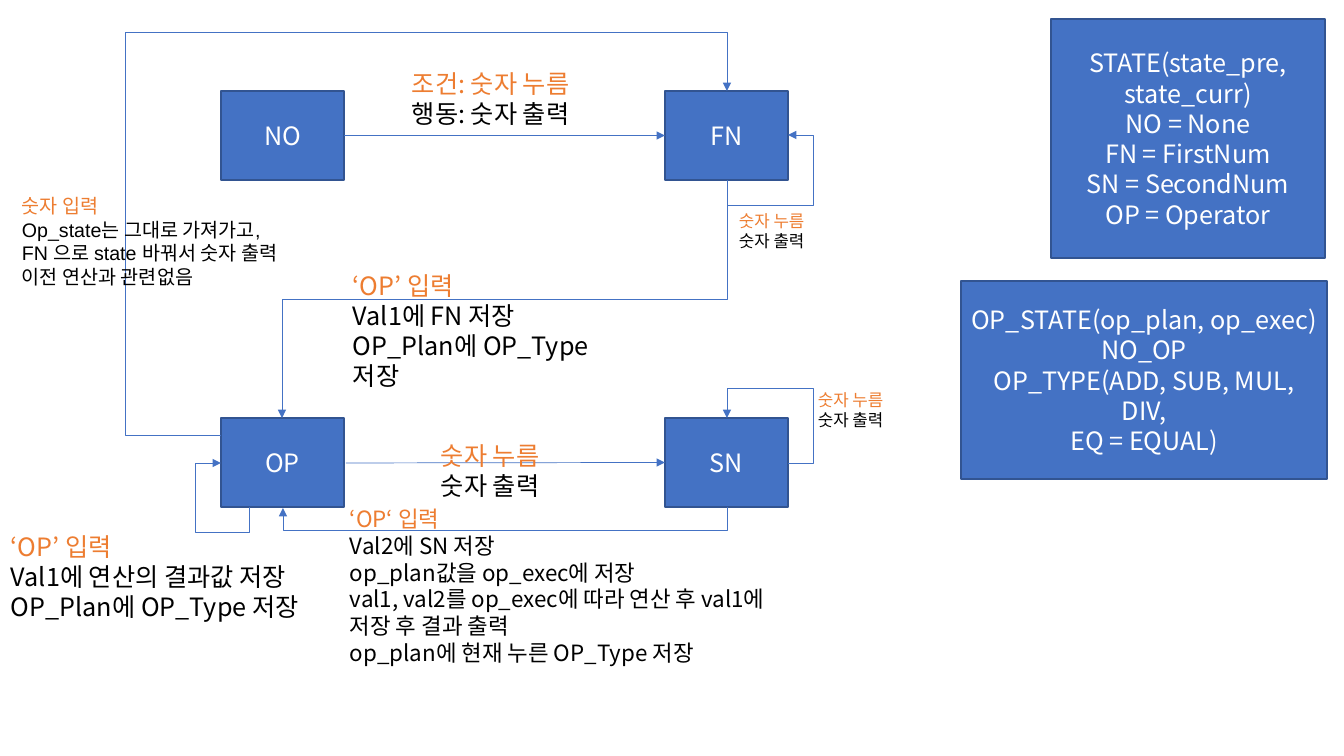
from lxml import etree
from pptx import Presentation
from pptx.dml.color import RGBColor
from pptx.enum.shapes import MSO_CONNECTOR, MSO_SHAPE
from pptx.enum.text import MSO_ANCHOR, MSO_AUTO_SIZE, PP_ALIGN
from pptx.oxml.ns import qn
from pptx.util import Emu, Pt

RECTANGLE = MSO_SHAPE.RECTANGLE
STRAIGHT, ELBOW = MSO_CONNECTOR.STRAIGHT, MSO_CONNECTOR.ELBOW
MIDDLE, TOP = MSO_ANCHOR.MIDDLE, MSO_ANCHOR.TOP
CENTER, LEFT = PP_ALIGN.CENTER, PP_ALIGN.LEFT
FIT_SHAPE = MSO_AUTO_SIZE.SHAPE_TO_FIT_TEXT

SLIDE_SIZE = (1344, 756)
EMU_PER_PX = 12192000 / 1344
KOREAN_FONT = "Noto Sans CJK KR"
BLUE, DARK_BLUE, ORANGE = "4472C4", "325491", "ED7D31"
WHITE, BLACK = "FFFFFF", "000000"
LEFT_SIDE, RIGHT_SIDE = 1, 3

STATE_SIZE = (123, 89)
STATES = {"NO": (221, 91), "FN": (665, 91), "OP": (221, 418), "SN": (665, 418)}

LEGENDS = [
    ((1051, 19, 274, 239), ["STATE(state_pre, state_curr)", "NO = None",
                            "FN = FirstNum", "SN = SecondNum", "OP = Operator"]),
    ((961, 281, 366, 198), ["OP_STATE(op_plan, op_exec)", "NO_OP",
                            "OP_TYPE(ADD, SUB, MUL, DIV,", "EQ = EQUAL)"]),
]

PRESS_DIGIT = ["숫자 누름", "숫자 출력"]
NOTES = [
    ((402, 63, 196, 71), 18, KOREAN_FONT, ["조건: 숫자 누름", "행동: 숫자 출력"]),
    ((431, 435, 137, 71), 18, KOREAN_FONT, PRESS_DIGIT),
    ((343, 265, 304, 102), 18, KOREAN_FONT,
     ["‘OP’ 입력", "Val1에 FN 저장", "OP_Plan에 OP_Type 저장"]),
    ((340, 500, 455, 173), 16, KOREAN_FONT,
     ["‘OP‘ 입력", "Val2에 SN 저장", "op_plan값을 op_exec에 저장",
      "val1, val2를 op_exec에 따라 연산 후 val1에 저장 후 결과 출력",
      "op_plan에 현재 누른 OP_Type 저장"]),
    ((729, 206, 97, 50), 12, KOREAN_FONT, PRESS_DIGIT),
    ((808, 385, 97, 50), 12, KOREAN_FONT, PRESS_DIGIT),
    ((1, 526, 337, 102), 18, KOREAN_FONT,
     ["‘OP’ 입력", "Val1에 연산의 결과값 저장", "OP_Plan에 OP_Type 저장"]),
    ((12, 189, 304, 105), 14, "Arial",
     ["숫자 입력", "Op_state는 그대로 가져가고,",
      "FN 으로 state 바꿔서 숫자 출력\v이전 연산과 관련없음"]),
]

# (start, end, leaves vertically, coordinates of the bends)
ELBOWS = [
    ((727, 180), (282, 418), True, [299]),
    ((727, 507), (283, 508), True, [531]),
    ((788, 463), (727, 418), False, [813, 388]),
    ((727, 180), (788, 135), True, [205, 813]),
    ((249, 507), (221, 463), True, [532, 195]),
    ((221, 435), (727, 91), False, [126, 33]),
]


def px(length):
    """Turn a length in pixels into EMU."""
    return Emu(round(length * EMU_PER_PX))


def color(value):
    """Turn a hex string into a colour."""
    return RGBColor.from_string(value)


def apply(target, values):
    """Set attributes of an object from a dict."""
    for name, value in values.items():
        setattr(target, name, value)


def write_lines(shape, lines, size, font_name, colors, frame_format, alignment):
    """Fill a shape with paragraphs; the first has its own colour."""
    frame = shape.text_frame
    apply(frame, {"word_wrap": True, **frame_format})
    for index, line in enumerate(lines):
        paragraph = frame.add_paragraph() if index else frame.paragraphs[0]
        paragraph.text = line
        paragraph.alignment = alignment
        for run in paragraph.runs:
            apply(run.font, {"size": Pt(size), "name": font_name})
            run.font.color.rgb = color(colors[min(index, 1)])
            properties = run.font._element
            etree.SubElement(properties, qn("a:ea")).set("typeface", KOREAN_FONT)


def add_box(slide, box, lines):
    """Draw a blue rectangle with centred white text."""
    shape = slide.shapes.add_shape(RECTANGLE, *map(px, box))
    shape.shadow.inherit = False
    shape.fill.solid()
    shape.fill.fore_color.rgb = color(BLUE)
    shape.line.color.rgb = color(DARK_BLUE)
    shape.line.width = Pt(1)
    write_lines(shape, lines, 18, KOREAN_FONT, (WHITE, WHITE),
                {"vertical_anchor": MIDDLE}, CENTER)
    return shape


def add_note(slide, box, size, font_name, lines):
    """Draw a transition note with an orange condition and black actions."""
    shape = slide.shapes.add_textbox(*map(px, box))
    write_lines(shape, lines, size, font_name, (ORANGE, BLACK),
                {"vertical_anchor": TOP, "auto_size": FIT_SHAPE}, LEFT)


def add_arrow(slide, kind, start, end):
    """Draw a thin blue connector with an arrowhead at its end."""
    arrow = slide.shapes.add_connector(kind, *map(px, (*start, *end)))
    arrow.line.color.rgb = color(BLUE)
    arrow.line.width = Pt(0.5)
    etree.SubElement(arrow.line._get_or_add_ln(), qn("a:tailEnd")).set("type", "triangle")
    etree.SubElement(arrow._element.spPr, qn("a:effectLst"))
    return arrow


def add_elbow(slide, start, end, vertical, bends):
    """Draw a bent arrow through the given bend coordinates."""
    arrow = add_arrow(slide, ELBOW, start, end)
    axes = (1, 0) if vertical else (0, 1)
    along, across = (end[axis] - start[axis] for axis in axes)
    width, height = abs(along), abs(across)
    apply(arrow, {"left": px((start[0] + end[0] - width) / 2),
                  "top": px((start[1] + end[1] - height) / 2),
                  "width": px(width), "height": px(height)})
    flip_vertical = across > 0 if vertical else across < 0
    apply(arrow._element.spPr.xfrm, {"rot": 90 if vertical else 0,
                                     "flipH": along < 0, "flipV": flip_vertical})
    geometry = arrow._element.spPr.find(qn("a:prstGeom"))
    geometry.set("prst", f"bentConnector{len(bends) + 2}")
    guides = geometry.find(qn("a:avLst"))
    if guides is None:
        guides = etree.SubElement(geometry, qn("a:avLst"))
    for number, (bend, axis, span) in enumerate(zip(bends, axes, (along, across)), 1):
        guide = etree.SubElement(guides, qn("a:gd"))
        name = "adj" if len(bends) == 1 else "adj1"
        guide.set("name", "adj1" if number == 1 else f"adj{number}")
        guide.set("fmla", f"val {round((bend - start[axis]) / span * 100000)}")


def add_states(slide):
    """Draw the four states and the straight arrows between them."""
    states = {name: add_box(slide, (*corner, *STATE_SIZE), [name])
              for name, corner in STATES.items()}
    first = add_arrow(slide, STRAIGHT, (344, 135), (665, 135))
    first.begin_connect(states["NO"], RIGHT_SIDE)
    first.end_connect(states["FN"], LEFT_SIDE)
    second = add_arrow(slide, STRAIGHT, (346, 463), (665, 463))
    second.end_connect(states["SN"], LEFT_SIDE)


def build_state_slide(presentation):
    """Build the calculator state diagram."""
    slide = presentation.slides.add_slide(presentation.slide_layouts[6])
    add_states(slide)
    for elbow in ELBOWS:
        add_elbow(slide, *elbow)
    for note in NOTES:
        add_note(slide, *note)
    for legend in LEGENDS:
        add_box(slide, *legend)


def main():
    """Create and save the presentation."""
    presentation = Presentation()
    width, height = map(px, SLIDE_SIZE)
    apply(presentation, {"slide_width": width, "slide_height": height})
    build_state_slide(presentation)
    presentation.save("out.pptx")


if __name__ == "__main__":
    main()
